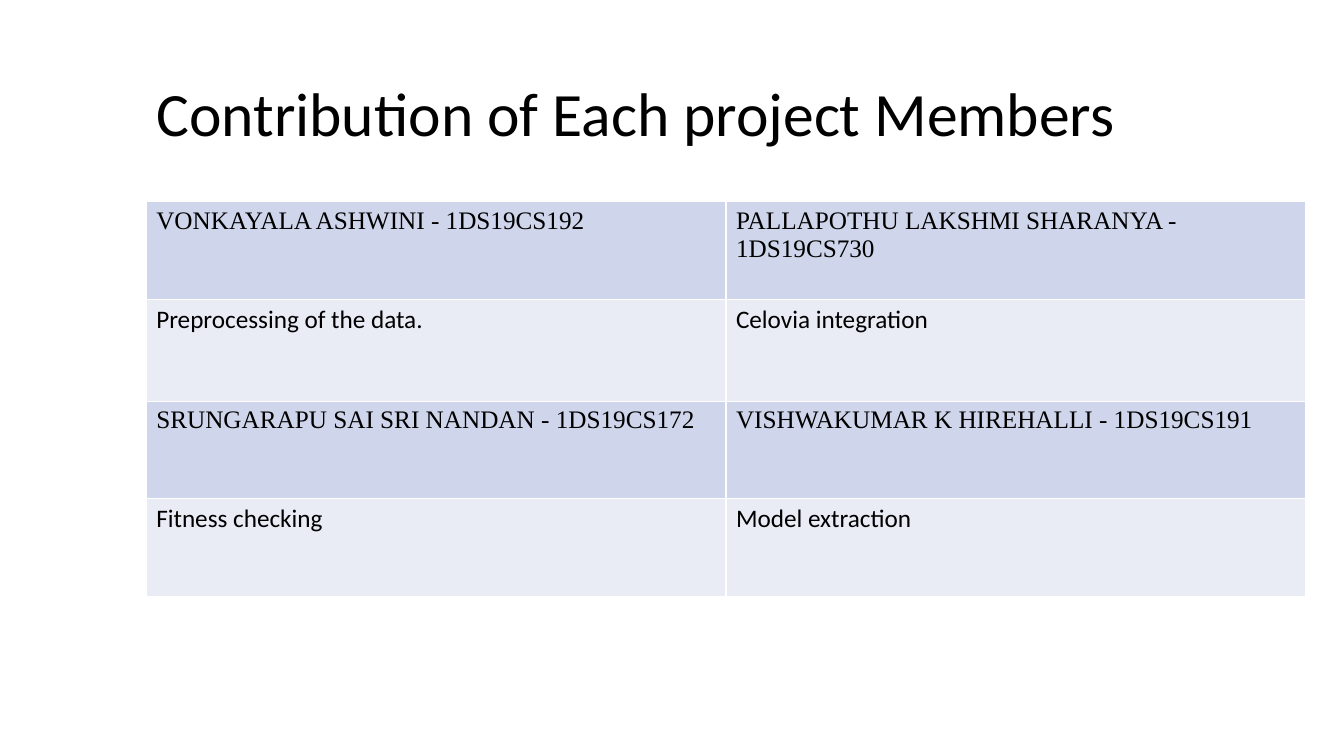
from lxml import etree
from pptx import Presentation
from pptx.dml.color import RGBColor
from pptx.enum.text import MSO_ANCHOR, MSO_AUTO_SIZE, PP_ALIGN
from pptx.oxml.ns import qn
from pptx.util import Inches, Pt

LEFT = PP_ALIGN.LEFT
MIDDLE = MSO_ANCHOR.MIDDLE
NO_AUTOFIT = MSO_AUTO_SIZE.NONE
TITLE_ONLY = 5

COLORS = {
    "text": "000000",
    "border": "FFFFFF",
    "member": "CFD5EA",
    "task": "E9EBF5",
}
TITLE_FONT = {"name": "Calibri", "size": Pt(44)}
ROW_FONTS = {
    "member": {"name": "Times New Roman", "size": Pt(18)},
    "task": {"name": "Calibri", "size": Pt(18)},
}
CONTRIBUTIONS = [
    ("member", 0.97, ("VONKAYALA ASHWINI - 1DS19CS192",
                      "PALLAPOTHU LAKSHMI SHARANYA - 1DS19CS730")),
    ("task", 1.01, ("Preprocessing of the data.", "Celovia integration")),
    ("member", 0.97, ("SRUNGARAPU SAI SRI NANDAN - 1DS19CS172",
                      "VISHWAKUMAR K HIREHALLI - 1DS19CS191")),
    ("task", 0.97, ("Fitness checking", "Model extraction")),
]
CONTENT_LEFT, CONTENT_WIDTH = 1.45, 11.5


def color(name):
    return RGBColor.from_string(COLORS[name])


def write_text(frame, text, font_format):
    paragraph = frame.paragraphs[0]
    paragraph.alignment = LEFT
    run = paragraph.add_run()
    run.text = text
    for attribute, value in font_format.items():
        setattr(run.font, attribute, value)
    run.font.color.rgb = color("text")
    return paragraph


def add_title(slide, text):
    title = slide.shapes.title
    title.left, title.top = Inches(CONTENT_LEFT), Inches(0.43)
    title.width, title.height = Inches(CONTENT_WIDTH), Inches(1.45)
    frame = title.text_frame
    frame.auto_size = NO_AUTOFIT
    frame.vertical_anchor = MIDDLE
    write_text(frame, text, TITLE_FONT).line_spacing = 0.9


def set_borders(cell):
    properties = cell._tc.get_or_add_tcPr()
    for side in ("a:lnL", "a:lnR", "a:lnT", "a:lnB"):
        line = etree.SubElement(properties, qn(side), w=str(Pt(1)))
        fill = etree.SubElement(line, qn("a:solidFill"))
        etree.SubElement(fill, qn("a:srgbClr"), val=COLORS["border"])


def add_contributions(slide, rows):
    column_count = len(rows[0][2])
    total_height = sum(height for _, height, _ in rows)
    table = slide.shapes.add_table(
        len(rows), column_count, Inches(CONTENT_LEFT), Inches(2),
        Inches(CONTENT_WIDTH), Inches(total_height)).table
    table.first_row = False
    for column in table.columns:
        column.width = Inches(CONTENT_WIDTH / column_count)

    for row, (kind, height, texts) in zip(table.rows, rows):
        row.height = Inches(height)
        for cell, text in zip(row.cells, texts):
            # Borders come before the fill in the cell properties
            set_borders(cell)
            cell.fill.solid()
            cell.fill.fore_color.rgb = color(kind)
            write_text(cell.text_frame, text, ROW_FONTS[kind])


def main():
    presentation = Presentation()
    presentation.slide_width = Inches(13.33)
    presentation.slide_height = Inches(7.5)
    slide = presentation.slides.add_slide(presentation.slide_layouts[TITLE_ONLY])

    # Heading
    add_title(slide, "Contribution of Each project Members")

    # Members and their tasks
    add_contributions(slide, CONTRIBUTIONS)

    presentation.save("out.pptx")


if __name__ == "__main__":
    main()
